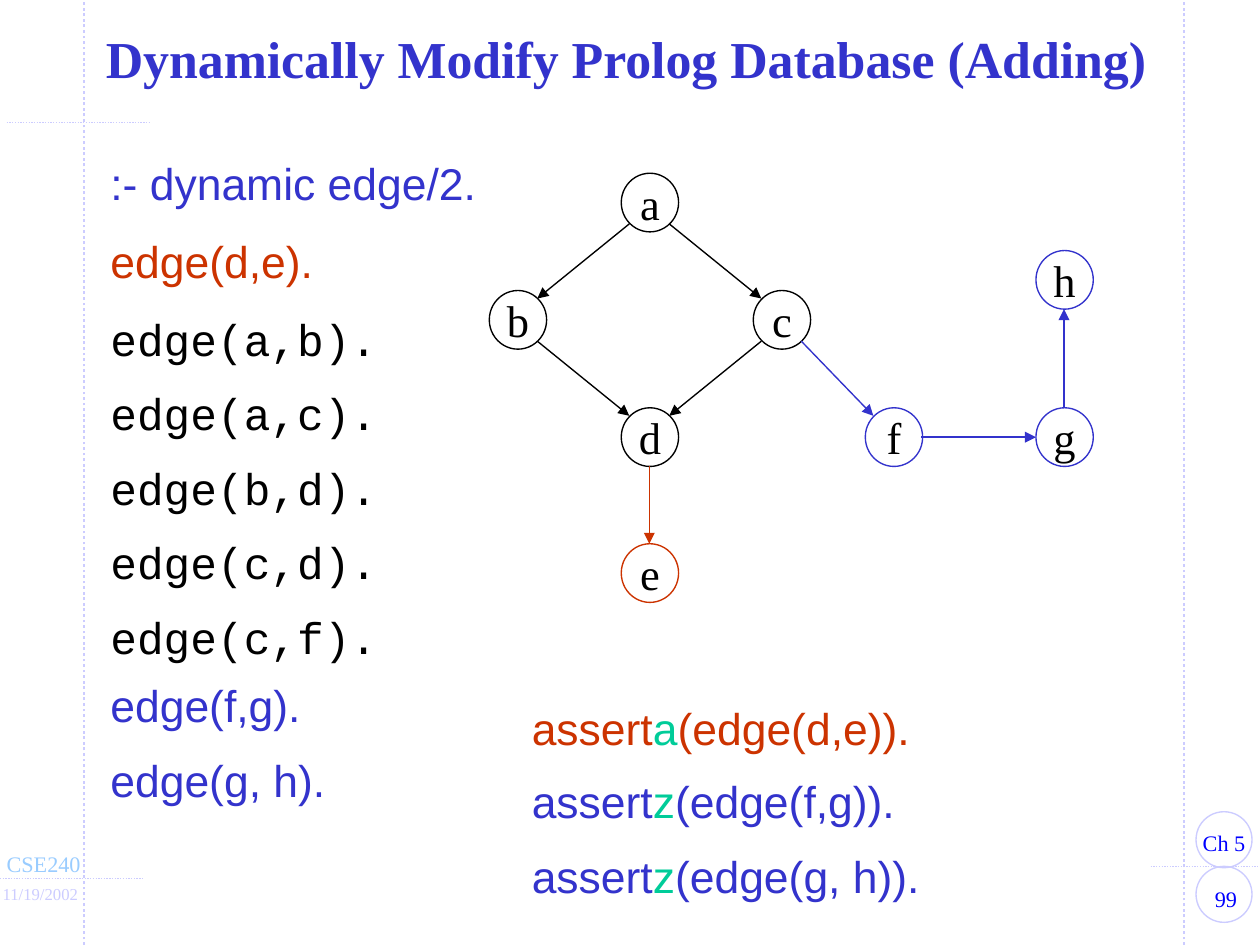
from lxml.etree import SubElement
from pptx import Presentation
from pptx.dml.color import RGBColor
from pptx.enum.dml import MSO_LINE_DASH_STYLE as DASH
from pptx.enum.shapes import MSO_CONNECTOR, MSO_SHAPE
from pptx.enum.text import MSO_ANCHOR as ANCHOR, PP_ALIGN as ALIGN
from pptx.oxml.ns import qn
from pptx.util import Pt

PX = 9144  # 100 px to the inch
SERIF, SANS, MONO = "Times New Roman", "Arial", "Courier New"
COLORS = {
    "black": "000000",
    "white": "FFFFFF",
    "blue": "3333CC",
    "red": "CC3300",
    "green": "00CC99",
    "lavender": "CCCCFF",
    "sky": "99CCFF",
    "label": "0000FF",
}
RGB = {name: RGBColor.from_string(value) for name, value in COLORS.items()}

presentation = Presentation()
presentation.slide_width = 945 * PX
presentation.slide_height = 709 * PX
slide = presentation.slides.add_slide(presentation.slide_layouts[5])


def write(paragraph, runs, font, size):
    """Add (text, colour) runs to a paragraph."""
    for text, color in runs:
        run = paragraph.add_run()
        run.text = text
        run.font.name = font
        run.font.size = Pt(size)
        run.font.color.rgb = RGB[color]


def add_line(start, end, color, width):
    line = slide.shapes.add_connector(
        MSO_CONNECTOR.STRAIGHT, *(value * PX for value in (*start, *end)))
    line.line.color.rgb = RGB[color]
    line.line.width = Pt(width)
    SubElement(line._element.spPr, qn("a:effectLst"))
    return line


# Title
title = slide.shapes.title
title.left, title.top, title.width, title.height = (
    value * PX for value in (8, 14, 923, 66))
title.text_frame.word_wrap = True
title.text_frame.vertical_anchor = ANCHOR.MIDDLE
heading = title.text_frame.paragraphs[0]
heading.alignment = ALIGN.CENTER
heading.line_spacing = 0.85
write(heading, [("Dynamically Modify Prolog Database (Adding)", "blue")], SERIF, 28)
heading.runs[0].font.bold = True

# Dotted frame
for start, end, width in [
    ((63, 709), (63, 0), 1.5),
    ((888, 709), (888, 0), 1.5),
    ((0, 659), (108, 659), 0.75),
    ((863, 650), (945, 650), 0.75),
    ((5, 92), (113, 92), 0.75),
]:
    rule = add_line(start, end, "lavender", width)
    rule.line.dash_style = DASH.ROUND_DOT

for top in (650, 609):
    ring = slide.shapes.add_shape(
        MSO_SHAPE.OVAL, 897 * PX, top * PX, 42 * PX, 42 * PX)
    ring.shadow.inherit = False
    ring.fill.background()
    ring.line.color.rgb = RGB["lavender"]
    ring.line.width = Pt(0.75)

# Footer labels
for text, left, top, width, height, size, color, align in [
    ("99", 897, 659, 45, 30, 12, "label", ALIGN.CENTER),
    ("Ch 5", 897, 617, 42, 30, 12, "label", ALIGN.CENTER),
    ("CSE240", 5, 633, 56, 30, 12, "sky", ALIGN.LEFT),
    ("11/19/2002", 2, 658, 57, 25, 9, "lavender", ALIGN.LEFT),
]:
    label = slide.shapes.add_textbox(left * PX, top * PX, width * PX, height * PX)
    frame = label.text_frame
    frame.word_wrap = False
    frame.margin_left = frame.margin_right = 0
    frame.paragraphs[0].alignment = align
    write(frame.paragraphs[0], [(text, color)], SERIF, size)

# Prolog clauses and assert calls
LINE_HEIGHT = 56
for left, top, width, font, lines in [
    (73, 96, 417, SANS, [[(":- dynamic edge/2.", "blue")]]),
    (73, 155, 192, SANS, [[("edge(d,e).", "red")]]),
    (73, 213, 417, MONO, [[(f"edge({pair}).", "black")]
                          for pair in ("a,b", "a,c", "b,d", "c,d", "c,f")]),
    (73, 488, 183, SANS, [[("edge(f,g).", "blue")], [("edge(g, h).", "blue")]]),
    (389, 505, 342, SANS, [
        [("assert", "red"), ("a", "green"), ("(edge(d,e)).", "red")]]),
    (389, 560, 342, SANS, [
        [("assert", "blue"), ("z", "green"), (f"(edge({pair})).", "blue")]
        for pair in ("f,g", "g, h")]),
]:
    height = 10 + LINE_HEIGHT * len(lines)
    box = slide.shapes.add_textbox(left * PX, top * PX, width * PX, height * PX)
    frame = box.text_frame
    frame.word_wrap = True
    for index, runs in enumerate(lines):
        paragraph = frame.add_paragraph() if index else frame.paragraphs[0]
        paragraph.line_spacing = Pt(40.3)
        write(paragraph, runs, font, 24)

# Graph: node centres and outline colours
NODE_WIDTH, NODE_HEIGHT = 43, 44
nodes = {
    "a": (487, 152, "black"),
    "b": (388, 240, "black"),
    "c": (586, 240, "black"),
    "d": (487, 328, "black"),
    "e": (487, 430, "red"),
    "f": (670, 328, "blue"),
    "g": (798, 328, "blue"),
    "h": (798, 210, "blue"),
}
for name, (x, y, color) in nodes.items():
    node = slide.shapes.add_shape(
        MSO_SHAPE.OVAL, (x - NODE_WIDTH // 2) * PX, (y - NODE_HEIGHT // 2) * PX,
        NODE_WIDTH * PX, NODE_HEIGHT * PX)
    node.shadow.inherit = False
    node.fill.solid()
    node.fill.fore_color.rgb = RGB["white"]
    node.line.color.rgb = RGB[color]
    node.line.width = Pt(0.75)
    frame = node.text_frame
    frame.word_wrap = False
    frame.vertical_anchor = ANCHOR.MIDDLE
    frame.paragraphs[0].alignment = ALIGN.CENTER
    write(frame.paragraphs[0], [(name, "black")], SERIF, 24)

# Each arrow runs from rim to rim in the direction of its target
for source, target in ("ab", "ac", "bd", "cd", "de", "cf", "fg", "gh"):
    x1, y1, _ = nodes[source]
    x2, y2, color = nodes[target]
    reach_x, reach_y = (15, 16) if x1 != x2 and y1 != y2 else (21, 22)
    step_x = reach_x * ((x2 > x1) - (x2 < x1))
    step_y = reach_y * ((y2 > y1) - (y2 < y1))
    arrow = add_line((x1 + step_x, y1 + step_y), (x2 - step_x, y2 - step_y), color, 0.75)
    SubElement(arrow.line._get_or_add_ln(), qn("a:tailEnd"), type="triangle")

presentation.save("out.pptx")
